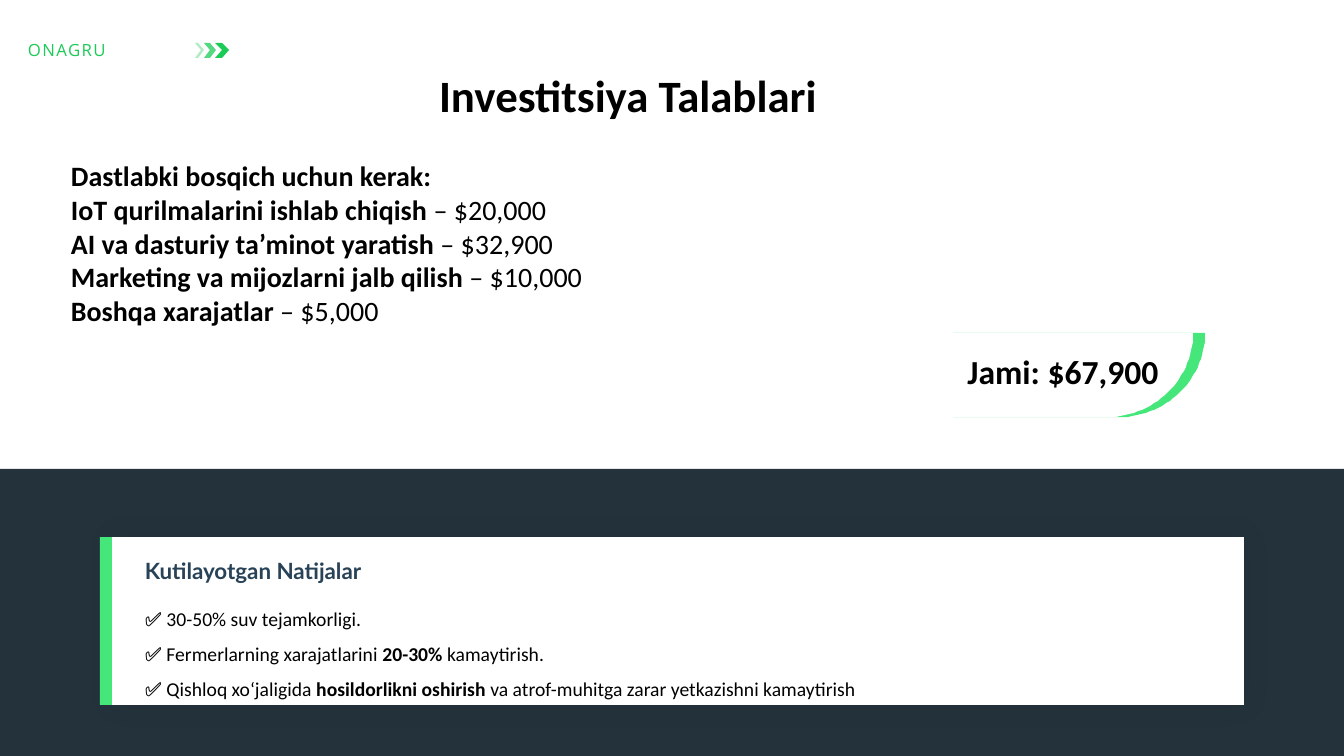
import math
from lxml import etree
from pptx import Presentation
from pptx import util as u
from pptx.dml import color
from pptx.enum import shapes, text
from pptx.oxml import ns

EMU_PER_PX = 914400 / 100.8
COLORS = {"ink": "000000", "paper": "FFFFFF", "band": "24323B",
          "heading": "284257", "mint": "45E67A", "brand": "1BCB56"}

BRAND = [["ONAGRU"]]
TITLE = [["Investitsiya Talablari"]]
COSTS = [
    ["Dastlabki bosqich uchun kerak:"],
    ["IoT qurilmalarini ishlab chiqish", " – $20,000"],
    ["AI va dasturiy ta’minot yaratish", " – $32,900"],
    ["Marketing va mijozlarni jalb qilish", " – $10,000"],
    ["Boshqa xarajatlar", " – $5,000"],
]
TOTAL = [["Jami: $67,900"]]
RESULTS_HEADING = [["Kutilayotgan Natijalar"]]
RESULTS = [
    ["✅ 30-50% suv tejamkorligi."],
    ["✅ Fermerlarning xarajatlarini ", "20-30% ", "kamaytirish."],
    ["✅ Qishloq xo‘jaligida ", "hosildorlikni oshirish ",
     "va atrof-muhitga zarar yetkazishni kamaytirish"],
]

TITLE_BOX = (429, 63, 427, 64)
TEXT_BOXES = [
    (BRAND, (18, 35, 194, 30), "brand", False, {"name": "Open Sans", "size": u.Pt(12)}, {}),
    (COSTS, (61, 154, 670, 214), "ink", True, {"name": "Calibri", "size": u.Pt(20)}, {}),
    (TOTAL, (953, 342, 220, 52), "ink", True, {"name": "Calibri", "size": u.Pt(24)},
     {"alignment": text.PP_ALIGN.CENTER, "line_spacing": 1.1}),
    (RESULTS_HEADING, (135, 552, 269, 37), "heading", True,
     {"name": "Lato", "size": u.Pt(16)}, {}),
    (RESULTS, (135, 590, 989, 113), "ink", False, {"name": "Calibri", "size": u.Pt(14)},
     {"line_spacing": 1.5}),
]
BAND = (0, 469, 1344, 287)
CARD = (112, 537, 1132, 168)
CARD_EDGE = (100, 537, 12, 168)
TAB_LEFTS = [(954, "mint"), (942, "paper")]
TAB_TOP, TAB_WIDTH, TAB_HEIGHT, TAB_RADIUS = 333, 251, 84, 86
CHEVRONS = [(215, 14, 7, 100), (204, 12, 6, 75), (195, 9, 3, 35)]
CHEVRON_TOP, CHEVRON_HEIGHT = 43, 15


def emu(px):
    return round(px * EMU_PER_PX)


def apply(target, values):
    for key, value in values.items():
        setattr(target, key, value)


def paint(shape, fill):
    shape.shadow.inherit = False
    shape.fill.solid()
    shape.fill.fore_color.rgb = color.RGBColor.from_string(COLORS[fill])
    shape.line.fill.background()
    return shape


def add_block(slide, box, fill):
    return paint(slide.shapes.add_shape(shapes.MSO_SHAPE.RECTANGLE, *map(emu, box)), fill)


def add_outline(slide, points, fill):
    builder = slide.shapes.build_freeform(*points[0], scale=EMU_PER_PX)
    builder.add_line_segments(points[1:], close=True)
    return paint(builder.convert_to_shape(), fill)


def write(shape, lines, ink, starts_bold, font_format, paragraph_format):
    frame = shape.text_frame
    apply(frame, {"word_wrap": True, "auto_size": text.MSO_AUTO_SIZE.NONE,
                  "vertical_anchor": text.MSO_ANCHOR.TOP})
    for index, pieces in enumerate(lines):
        paragraph = frame.add_paragraph() if index else frame.paragraphs[0]
        apply(paragraph, {"alignment": text.PP_ALIGN.LEFT, **paragraph_format})
        for order, piece in enumerate(pieces):
            run = paragraph.add_run()
            run.text = piece
            apply(run.font, {**font_format, "bold": starts_bold == (order % 2 == 0)})
            run.font.color.rgb = color.RGBColor.from_string(COLORS[ink])
    return frame


def add_glow(shape, blur, opacity):
    effects = shape.element.spPr.find(ns.qn("a:effectLst"))
    shadow = etree.SubElement(effects, ns.qn("a:outerShdw"),
                              blurRad=str(u.Pt(blur)), dist="0", dir="0")
    tint = etree.SubElement(shadow, ns.qn("a:srgbClr"), val=COLORS["ink"])
    etree.SubElement(tint, ns.qn("a:alpha"), val=str(opacity * 1000))


def tab_points(left):
    right, bottom = left + TAB_WIDTH, TAB_TOP + TAB_HEIGHT
    angles = [math.radians(degree) for degree in range(0, 91, 3)]
    curve = [(right - TAB_RADIUS * (1 - math.cos(a)), TAB_TOP + TAB_HEIGHT * math.sin(a))
             for a in angles]
    return [(left, TAB_TOP), *curve, (left, bottom)]


def chevron_points(left, width, thickness):
    right, bottom = left + width, CHEVRON_TOP + CHEVRON_HEIGHT
    middle = CHEVRON_TOP + CHEVRON_HEIGHT / 2
    notch = right - thickness
    return [(left, CHEVRON_TOP), (left + thickness, CHEVRON_TOP), (right, middle),
            (left + thickness, bottom), (left, bottom), (notch, middle)]


def main():
    deck = Presentation()
    apply(deck, {"slide_width": emu(1344), "slide_height": emu(756)})
    slide = deck.slides.add_slide(deck.slide_layouts[5])

    title = slide.shapes.title
    apply(title, dict(zip(("left", "top", "width", "height"), map(emu, TITLE_BOX))))
    write(title, TITLE, "ink", True, {"name": "Calibri", "size": u.Pt(32)}, {})

    add_block(slide, BAND, "band")
    add_glow(add_block(slide, CARD, "paper"), 20.4, 6)
    add_block(slide, CARD_EDGE, "mint")
    for left, fill in TAB_LEFTS:
        add_outline(slide, tab_points(left), fill)
    for left, width, thickness, opacity in CHEVRONS:
        chevron = add_outline(slide, chevron_points(left, width, thickness), "brand")
        tint = chevron.element.spPr.find(ns.qn("a:solidFill"))[0]
        etree.SubElement(tint, ns.qn("a:alpha"), val=str(opacity * 1000))

    for lines, box, *style in TEXT_BOXES:
        frame = write(slide.shapes.add_textbox(*map(emu, box)), lines, *style)
        if lines is BRAND:
            frame.paragraphs[0].runs[0].font._element.set("spc", "100")

    deck.save("out.pptx")


if __name__ == "__main__":
    main()
